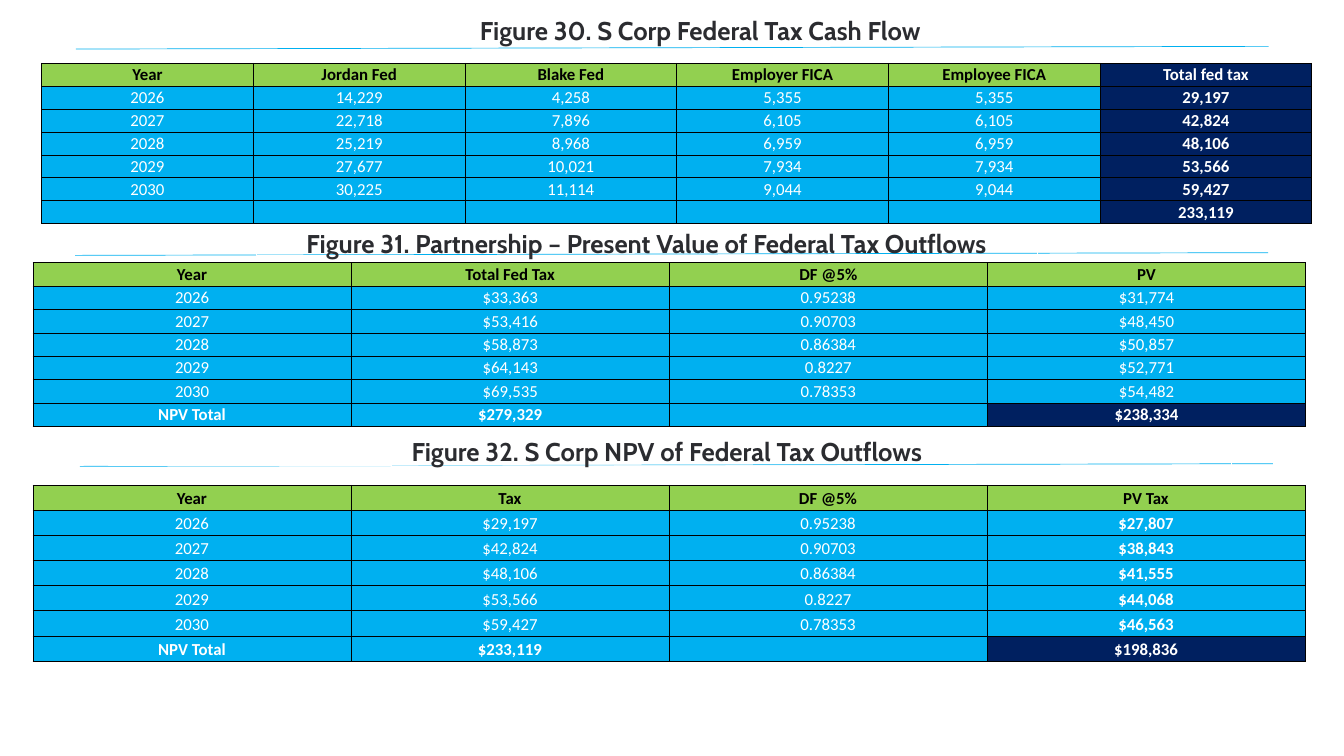
"""Build a slide with three federal tax tables, each under a titled rule."""
from lxml.etree import SubElement
from pptx import Presentation
from pptx.dml.color import RGBColor
from pptx.enum.shapes import MSO_CONNECTOR, MSO_SHAPE
from pptx.enum.text import MSO_ANCHOR, MSO_AUTO_SIZE, PP_ALIGN
from pptx.oxml.ns import qn
from pptx.util import Emu, Pt

PX = 9144
COLORS = {
    "white": "FFFFFF",
    "black": "000000",
    "title": "2B2C30",
    "header": "92D050",
    "body": "00B0F0",
    "total": "002060",
}
YEARS = ["2026", "2027", "2028", "2029", "2030"]
FACTORS = ["0.95238", "0.90703", "0.86384", "0.8227", "0.78353"]
FICA = ["5,355", "6,105", "6,959", "7,934", "9,044"]


def px(*lengths):
    return [Emu(length * PX) for length in lengths]


def add_run(paragraph, text, font_name, size, color, bold):
    paragraph.alignment = PP_ALIGN.CENTER
    run = paragraph.add_run()
    run.text = text
    run.font.name = font_name
    run.font.size = Pt(size)
    run.font.bold = bold
    run.font.color.rgb = RGBColor.from_string(COLORS[color])


presentation = Presentation()
presentation.slide_width, presentation.slide_height = px(2000, 1125)
slide = presentation.slides.add_slide(presentation.slide_layouts[6])

headings = [
    ("Figure 30. S Corp Federal Tax Cash Flow", (320, 14, 1444, 51), (113, 73)),
    ("Figure 31. Partnership – Present Value of Federal Tax Outflows", (381, 330, 1162, 50), (112, 380)),
    ("Figure 32. S Corp NPV of Federal Tax Outflows ", (161, 640, 1671, 52), (119, 694)),
]
for title, box, (left, top) in headings:
    rule = slide.shapes.add_connector(MSO_CONNECTOR.STRAIGHT, *px(left, top, left + 1775, top - 4))
    rule.line.color.rgb = RGBColor.from_string(COLORS["body"])
    rule.line.width = Pt(0.75)
    SubElement(rule._element.spPr, qn("a:effectLst"))

    shape = slide.shapes.add_shape(MSO_SHAPE.RECTANGLE, *px(*box))
    shape.shadow.inherit = False
    shape.fill.background()
    shape.line.color.rgb = RGBColor.from_string(COLORS["white"])
    shape.line.width = Pt(0.75)
    frame = shape.text_frame
    frame.word_wrap = True
    frame.auto_size = MSO_AUTO_SIZE.SHAPE_TO_FIT_TEXT
    frame.vertical_anchor = MSO_ANCHOR.TOP
    frame.margin_left = frame.margin_top = frame.margin_right = frame.margin_bottom = 0
    frame.paragraphs[0].line_spacing = Pt(39.2)
    add_run(frame.paragraphs[0], title, "Cabin", 27.5, "title", True)

cash_flow = [
    ["Year", *YEARS, ""],
    ["Jordan Fed", "14,229", "22,718", "25,219", "27,677", "30,225", ""],
    ["Blake Fed", "4,258", "7,896", "8,968", "10,021", "11,114", ""],
    ["Employer FICA", *FICA, ""],
    ["Employee FICA", *FICA, ""],
    ["Total fed tax", "29,197", "42,824", "48,106", "53,566", "59,427", "233,119"],
]
partnership = [
    ["Year", *YEARS, "NPV Total"],
    ["Total Fed Tax", "$33,363", "$53,416", "$58,873", "$64,143", "$69,535", "$279,329"],
    ["DF @5%", *FACTORS, ""],
    ["PV", "$31,774", "$48,450", "$50,857", "$52,771", "$54,482", "$238,334"],
]
s_corp = [
    ["Year", *YEARS, "NPV Total"],
    ["Tax", "$29,197", "$42,824", "$48,106", "$53,566", "$59,427", "$233,119"],
    ["DF @5%", *FACTORS, ""],
    ["PV Tax", "$27,807", "$38,843", "$41,555", "$44,068", "$46,563", "$198,836"],
]
tables = [
    (cash_flow, (62, 94, 1890, 239), True, True),
    (partnership, (49, 391, 1894, 244), False, False),
    (s_corp, (49, 722, 1893, 262), False, True),
]
for columns, box, total_column, bold_last in tables:
    last_row, last_column = len(columns[0]) - 1, len(columns) - 1
    table = slide.shapes.add_table(last_row + 1, last_column + 1, *px(*box)).table
    table.first_row = table.horz_banding = False
    for c, column in enumerate(columns):
        for r, text in enumerate(column):
            cell = table.cell(r, c)
            cell.margin_left, cell.margin_right, cell.margin_top, cell.margin_bottom = px(3, 3, 2, 2)
            cell.vertical_anchor = MSO_ANCHOR.BOTTOM
            for side in ("lnL", "lnR", "lnT", "lnB"):
                border = SubElement(cell._tc.get_or_add_tcPr(), qn(f"a:{side}"), w=str(Pt(1)))
                SubElement(SubElement(border, qn("a:solidFill")), qn("a:srgbClr"), val=COLORS["black"])

            if c == last_column and (total_column or r == last_row):
                fill = "total"
            else:
                fill = "header" if r == 0 else "body"
            cell.fill.solid()
            cell.fill.fore_color.rgb = RGBColor.from_string(COLORS[fill])
            if text:
                color = "black" if fill == "header" else "white"
                bold = r in (0, last_row) or (bold_last and c == last_column)
                add_run(cell.text_frame.paragraphs[0], text, "Calibri", 18, color, bold)

presentation.save("out.pptx")
